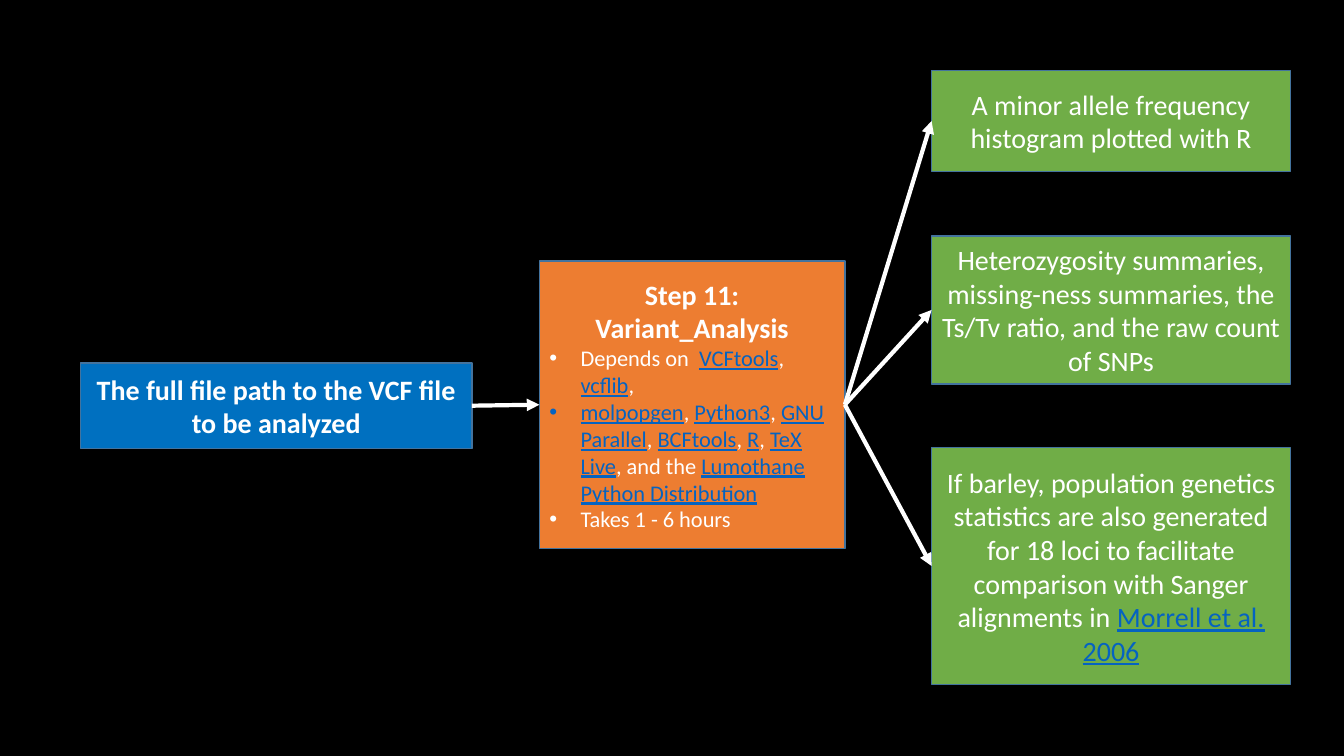
from dataclasses import dataclass

from lxml.etree import SubElement
from pptx import Presentation
from pptx.dml.color import RGBColor
from pptx.enum.shapes import MSO_CONNECTOR, MSO_SHAPE
from pptx.enum.text import MSO_ANCHOR, PP_ALIGN
from pptx.oxml.ns import qn
from pptx.util import Inches, Pt


@dataclass(frozen=True)
class Theme:
    back: str = "000000"
    text: str = "FFFFFF"
    link: str = "0563C1"
    edge: str = "43739E"
    input: str = "0070C0"
    step: str = "ED7D31"
    result: str = "70AD47"
    font: str = "Calibri"
    head: int = 20
    item: int = 16


THEME = Theme()
LEFT, RIGHT = 1, 3  # connection sites of a rectangle

INPUT = "The full file path to the VCF file to be analyzed"
STEP = "Step 11: Variant_Analysis"
NOTES = [
    "Depends on  |VCFtools|, |vcflib|, ",
    "|molpopgen|, |Python3|, |GNU Parallel|, |BCFtools|, |R|, |TeX Live|"
    ", and the |Lumothane Python Distribution|",
    "Takes 1 - 6 hours",
]
RESULTS = [
    (0.7, 1, "A minor allele frequency histogram plotted with R"),
    (2.34, 1.47, "Heterozygosity summaries, missing-ness summaries, "
                 "the Ts/Tv ratio, and the raw count of SNPs"),
    (4.44, 2.35, "If barley, population genetics statistics are also generated "
                 "for 18 loci to facilitate comparison with Sanger "
                 "alignments in |Morrell et al. 2006|"),
]


def color(code):
    return RGBColor.from_string(code)


def add_runs(par, text, size, bold=False):
    """Fill a paragraph; the parts between bars look like links."""
    for i, part in enumerate(text.split("|")):
        if not part:
            continue
        linked = i % 2 == 1
        run = par.add_run()
        run.text = part
        font = run.font
        font.name, font.size, font.bold = THEME.font, Pt(size), bold
        font.underline = linked
        font.color.rgb = color(THEME.link if linked else THEME.text)


def add_box(slide, left, top, width, height, fill, text, bold=False):
    box = slide.shapes.add_shape(
        MSO_SHAPE.RECTANGLE, Inches(left), Inches(top), Inches(width), Inches(height))
    box.shadow.inherit = False
    box.fill.solid()
    box.fill.fore_color.rgb = color(fill)
    box.line.color.rgb = color(THEME.edge)
    box.line.width = Pt(1)
    frame = box.text_frame
    frame.word_wrap = True
    frame.vertical_anchor = MSO_ANCHOR.MIDDLE
    par = frame.paragraphs[0]
    par.alignment = PP_ALIGN.CENTER
    add_runs(par, text, THEME.head, bold)
    return box


def add_bullet(box, text):
    par = box.text_frame.add_paragraph()
    par.alignment = PP_ALIGN.LEFT
    props = par._p.get_or_add_pPr()
    indent = Inches(0.31)
    props.set("marL", str(indent))
    props.set("indent", str(-indent))
    SubElement(props, qn("a:buFont"), typeface="Arial")
    SubElement(props, qn("a:buChar"), char="•")
    add_runs(par, text, THEME.item)


def add_arrow(slide, start, end):
    """Join the right side of one box to the left side of another."""
    arrow = slide.shapes.add_connector(MSO_CONNECTOR.STRAIGHT, 0, 0, 0, 0)
    arrow.begin_connect(start, RIGHT)
    arrow.end_connect(end, LEFT)
    arrow.line.color.rgb = color(THEME.text)
    arrow.line.width = Pt(3)
    SubElement(arrow.line._get_or_add_ln(), qn("a:tailEnd"), type="triangle")
    SubElement(arrow._element.spPr, qn("a:effectLst"))


def main():
    deck = Presentation()
    deck.slide_width, deck.slide_height = Inches(13.33), Inches(7.5)
    slide = deck.slides.add_slide(deck.slide_layouts[6])
    slide.background.fill.solid()
    slide.background.fill.fore_color.rgb = color(THEME.back)

    source = add_box(slide, 0.8, 3.6, 3.88, 0.85, THEME.input, INPUT, bold=True)
    step = add_box(slide, 5.35, 2.59, 3.03, 2.85, THEME.step, STEP, bold=True)
    for note in NOTES:
        add_bullet(step, note)
    add_arrow(slide, source, step)
    for top, height, text in RESULTS:
        result = add_box(slide, 9.24, top, 3.56, height, THEME.result, text)
        add_arrow(slide, step, result)
    deck.save("out.pptx")


if __name__ == "__main__":
    main()
